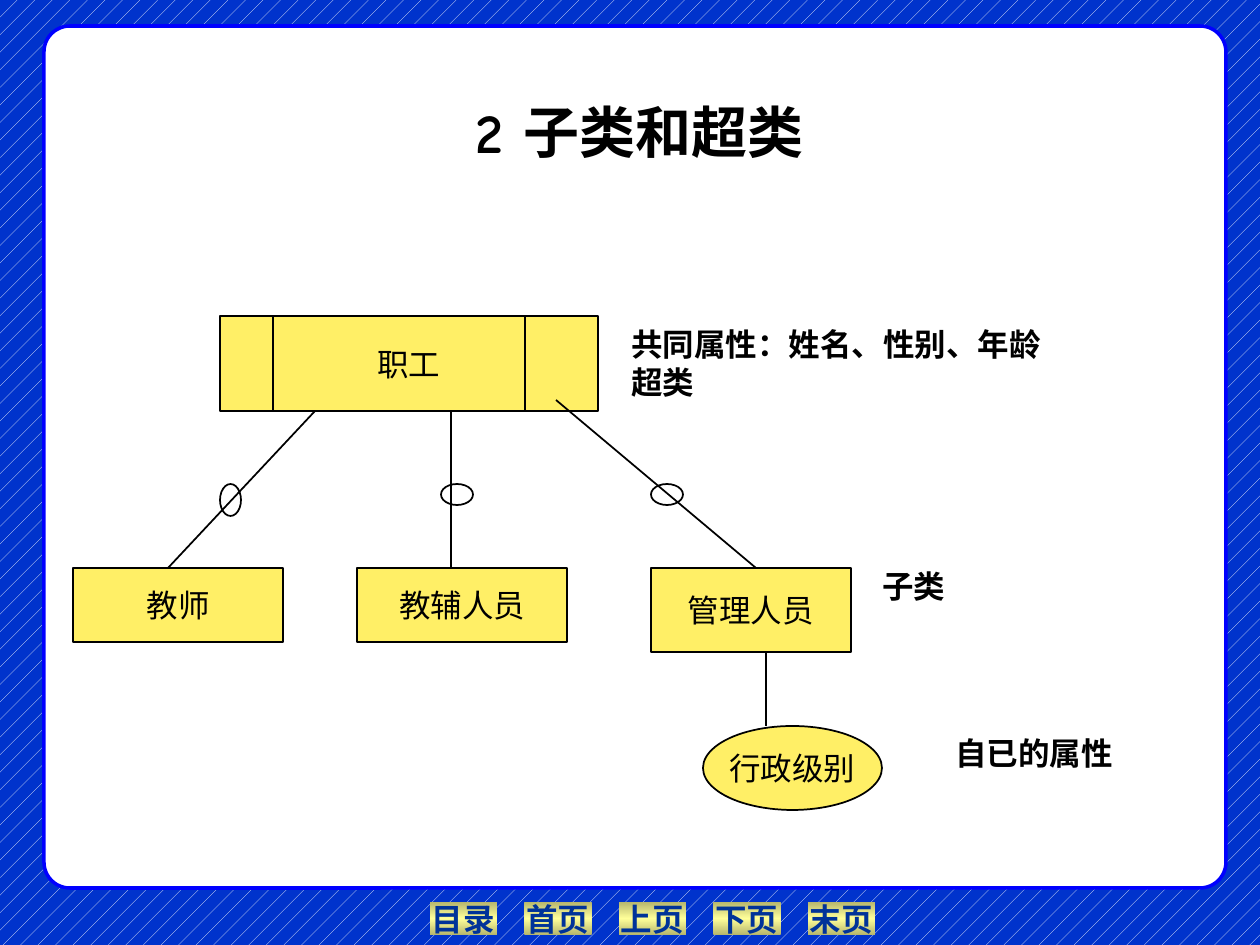
from copy import deepcopy

from lxml import etree
from pptx import Presentation
from pptx import util as u
from pptx.dml.color import RGBColor
from pptx.enum import dml, shapes, text
from pptx.oxml.ns import qn

EMU_PER_PX = 914400 / 126
SLIDE_SIZE = (1260, 945)

BLACK = RGBColor(0x00, 0x00, 0x00)
WHITE = RGBColor(0xFF, 0xFF, 0xFF)
YELLOW = RGBColor(0xFF, 0xEF, 0x66)
BACKGROUND_BLUE = RGBColor(0x00, 0x33, 0xCC)
FRAME_BLUE = RGBColor(0x00, 0x00, 0xFF)
BUTTON_EDGE = RGBColor(0xB6, 0xB6, 0x6D)
BUTTON_MIDDLE = RGBColor(0xFF, 0xFF, 0x99)
BUTTON_TEXT = RGBColor(0x00, 0x33, 0x99)

BODY_FONT = "Times New Roman"
TITLE_FONT = "Comic Neue"


def px(length):
    return u.Emu(round(length * EMU_PER_PX))


def write_text(shape, *lines, size=18, font=BODY_FONT, color=BLACK, bold=False,
               align=text.PP_ALIGN.CENTER, anchor=text.MSO_ANCHOR.MIDDLE, wrap=False):
    """Put each line in a paragraph of its own."""
    frame = shape.text_frame
    frame.word_wrap = wrap
    frame.vertical_anchor = anchor
    for index, line in enumerate(lines):
        paragraph = frame.add_paragraph() if index else frame.paragraphs[0]
        paragraph.alignment = align
        run = paragraph.add_run()
        run.text = line
        run.font.size = u.Pt(size)
        run.font.name = font
        run.font.bold = bold
        run.font.color.rgb = color


def add_shape(slide, kind, box, fill=None, line=BLACK, line_width=1):
    shape = slide.shapes.add_shape(kind, *map(px, box))
    shape.shadow.inherit = False
    if fill is None:
        shape.fill.background()
    else:
        shape.fill.solid()
        shape.fill.fore_color.rgb = fill
    if line is None:
        shape.line.fill.background()
    else:
        shape.line.color.rgb = line
        shape.line.width = u.Pt(line_width)
    return shape


def add_line(slide, start, end):
    connector = slide.shapes.add_connector(
        shapes.MSO_CONNECTOR.STRAIGHT, *map(px, (*start, *end)))
    connector.line.color.rgb = BLACK
    connector.line.width = u.Pt(1)
    etree.SubElement(connector._element.spPr, qn("a:effectLst"))


def add_node(slide, box, label, kind=shapes.MSO_SHAPE.RECTANGLE):
    write_text(add_shape(slide, kind, box, fill=YELLOW), label)


def add_note(slide, box, *lines, **text_format):
    note = slide.shapes.add_textbox(*map(px, box))
    write_text(note, *lines, bold=True, anchor=text.MSO_ANCHOR.TOP, **text_format)


def add_backdrop(slide, box):
    """Striped background with a white rounded panel in the box."""
    fill = slide.background.fill
    fill.patterned()
    fill.pattern = dml.MSO_PATTERN.PERCENT_5
    fill.fore_color.rgb = WHITE
    fill.back_color.rgb = BACKGROUND_BLUE
    panel = add_shape(slide, shapes.MSO_SHAPE.ROUNDED_RECTANGLE, box,
                      fill=WHITE, line=FRAME_BLUE, line_width=2)
    panel.adjustments[0] = 0.03


def fill_button(button):
    """Vertical gradient, dark at both edges and light in the middle."""
    button.fill.gradient()
    button.fill.gradient_angle = 90
    stop_list = button._element.spPr.find(".//" + qn("a:gsLst"))
    stop_list.append(deepcopy(stop_list[-1]))
    colors = (BUTTON_EDGE, BUTTON_MIDDLE, BUTTON_EDGE)
    for index, (stop, color) in enumerate(zip(button.fill.gradient_stops, colors)):
        stop.position = index / 2
        stop.color.rgb = color


def add_navigation(slide, box):
    left, top, width, height = box
    labels = ("目录", "首页", "上页", "下页", "末页")
    button_width = 67
    step = (width - button_width) / (len(labels) - 1)
    for index, label in enumerate(labels):
        button = add_shape(slide, shapes.MSO_SHAPE.ACTION_BUTTON_CUSTOM,
                           (left + index * step, top, button_width, height), line=None)
        fill_button(button)
        write_text(button, label, color=BUTTON_TEXT, bold=True)


def place_title(slide, box):
    title = slide.shapes.title
    title.left, title.top, title.width, title.height = map(px, box)
    write_text(title, "2 子类和超类", size=32, font=TITLE_FONT, bold=True,
               anchor=text.MSO_ANCHOR.BOTTOM, wrap=True)
    title.text_frame.margin_top = 0
    title.text_frame.margin_bottom = px(60)
    slide.shapes._spTree.append(title._element)  # in front of the panel


def add_hierarchy(slide, box):
    """Superclass on top, its three subclasses below, one with its own attribute."""
    left, top = box[:2]

    def at(x, y, *size):
        return (left + x, top + y, *size)

    add_node(slide, at(147, 0, 378, 95), "职工")
    for x in (200, 452):
        add_line(slide, at(x, 0), at(x, 95))

    subclasses = (("教师", 0, 210, 74), ("教辅人员", 284, 210, 74), ("管理人员", 578, 200, 84))
    for label, x, width, height in subclasses:
        add_node(slide, at(x, 252, width, height), label)

    for start, end in (((242, 95), (95, 252)), ((378, 95), (378, 252)),
                       ((483, 84), (683, 252)), ((693, 336), (693, 410))):
        add_line(slide, at(*start), at(*end))
    add_node(slide, at(630, 410, 179, 84), "行政级别", shapes.MSO_SHAPE.OVAL)

    add_note(slide, at(546, 3, 599, 113), "共同属性：姓名、性别、年龄", "超类",
             align=text.PP_ALIGN.LEFT, wrap=True)
    add_note(slide, at(819, 412, 284, 63), "自已的属性", wrap=True)
    add_note(slide, at(786, 245, 110, 63), "子类")

    for x, width, height in ((147, 21, 32), (368, 32, 21), (578, 32, 21)):
        add_shape(slide, shapes.MSO_SHAPE.OVAL, at(x, 168, width, height))


def main():
    presentation = Presentation()
    presentation.slide_width, presentation.slide_height = map(px, SLIDE_SIZE)
    slide = presentation.slides.add_slide(presentation.slide_layouts[5])
    add_backdrop(slide, (44, 26, 1182, 862))
    add_navigation(slide, (430, 902, 445, 33))
    place_title(slide, (73, 120, 1134, 105))
    add_hierarchy(slide, (73, 316, 1145, 494))
    presentation.save("out.pptx")


if __name__ == "__main__":
    main()
